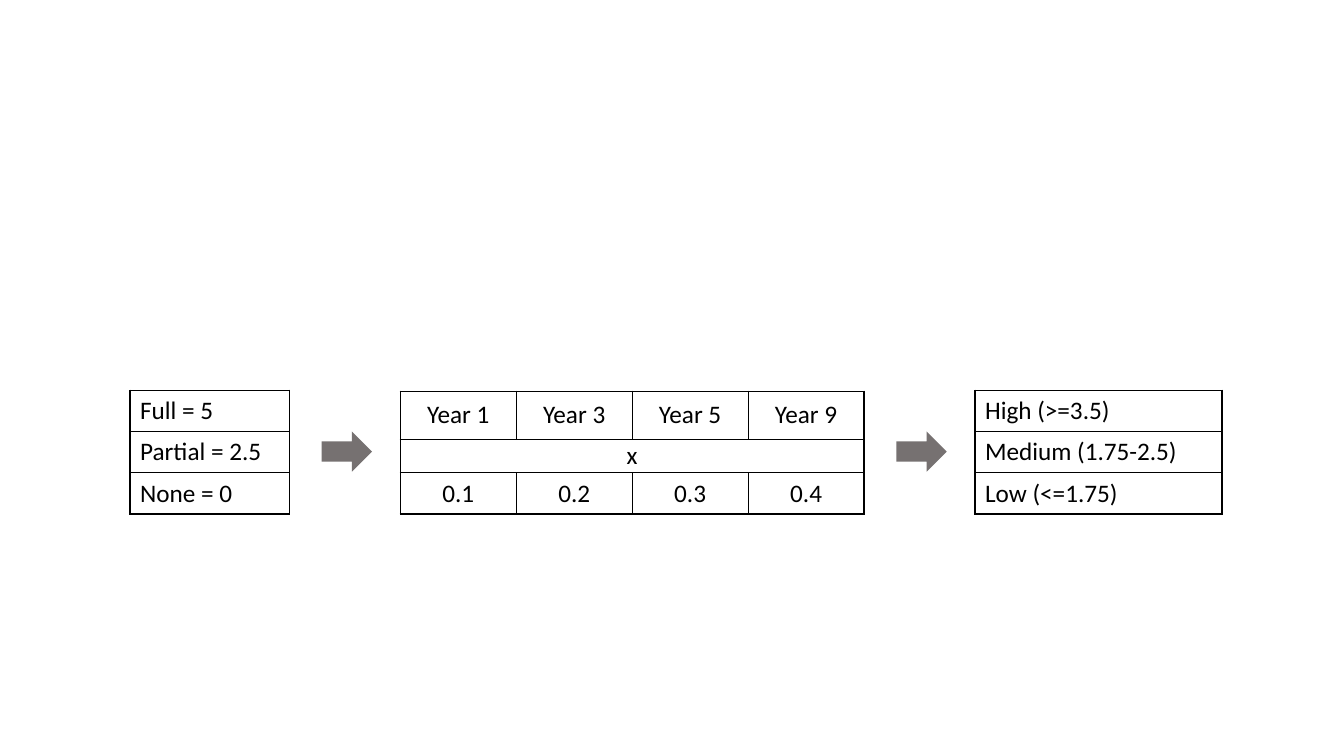
from lxml import etree
from pptx import Presentation
from pptx import util as u
from pptx.dml.color import RGBColor
from pptx.enum import shapes, text
from pptx.oxml.ns import qn

COLORS = {"ink": "000000", "arrow": "767171"}
FONT = "Calibri"


def add_borders(cell):
    """Draw a 1 pt line on all four sides of a cell."""
    tc_pr = cell._tc.get_or_add_tcPr()
    for side in ("lnL", "lnR", "lnT", "lnB"):
        ln = etree.SubElement(tc_pr, qn(f"a:{side}"), w=str(u.Pt(1)))
        fill = etree.SubElement(ln, qn("a:solidFill"))
        etree.SubElement(fill, qn("a:srgbClr"), val=COLORS["ink"])


def format_cell(cell, align):
    add_borders(cell)
    cell.fill.background()
    cell.vertical_anchor = text.MSO_ANCHOR.MIDDLE
    cell.margin_left = cell.margin_right = u.Inches(0.1)
    cell.margin_top = cell.margin_bottom = 0
    p = cell.text_frame.paragraphs[0]
    p.alignment = align
    p.font.size = u.Pt(18)
    p.font.name = FONT
    p.font.color.rgb = RGBColor.from_string(COLORS["ink"])


def add_grid(s, left, top, col_width, row_heights, rows, align):
    """Place a plain ruled table; a one-item row spans every column."""
    n_cols = max(len(row) for row in rows)
    table = s.shapes.add_table(
        len(rows), n_cols, u.Inches(left), u.Inches(top),
        u.Inches(col_width * n_cols), u.Inches(sum(row_heights))).table
    table.first_row = table.horz_banding = False
    for col in table.columns:
        col.width = u.Inches(col_width)
    for i, (row, height) in enumerate(zip(rows, row_heights)):
        table.rows[i].height = u.Inches(height)
        if len(row) < n_cols:
            table.cell(i, 0).merge(table.cell(i, n_cols - 1))
        for j, label in enumerate(row):
            table.cell(i, j).text = label
        for j in range(n_cols):
            format_cell(table.cell(i, j), align)


def add_arrow(s, left, top, width, height):
    """Place a down arrow turned to point right."""
    sp = s.shapes.add_shape(
        shapes.MSO_SHAPE.DOWN_ARROW, u.Inches(left), u.Inches(top),
        u.Inches(width), u.Inches(height))
    sp.rotation = 270
    sp.shadow.inherit = False
    sp.fill.solid()
    sp.fill.fore_color.rgb = RGBColor.from_string(COLORS["arrow"])
    sp.line.fill.background()


def build_scoring_slide(prs):
    s = prs.slides.add_slide(prs.slide_layouts[6])
    left, center = text.PP_ALIGN.LEFT, text.PP_ALIGN.CENTER
    # Yearly weights
    add_grid(s, 3.97, 3.88, 1.15, [0.48, 0.33, 0.41],
             [["Year 1", "Year 3", "Year 5", "Year 9"],
              ["x"],
              ["0.1", "0.2", "0.3", "0.4"]], center)
    # Scores
    add_grid(s, 1.29, 3.87, 1.58, [0.41] * 3,
             [["Full = 5"], ["Partial = 2.5"], ["None = 0"]], left)
    # Arrows between the tables
    for x in (3.24, 8.94):
        add_arrow(s, x, 4.23, 0.4, 0.5)
    # Ratings
    add_grid(s, 9.67, 3.87, 2.45, [0.41] * 3,
             [["High (>=3.5)"], ["Medium (1.75-2.5)"], ["Low (<=1.75)"]], left)


def main():
    prs = Presentation()
    prs.slide_width, prs.slide_height = u.Inches(13.33), u.Inches(7.5)
    build_scoring_slide(prs)
    prs.save("out.pptx")


if __name__ == "__main__":
    main()
